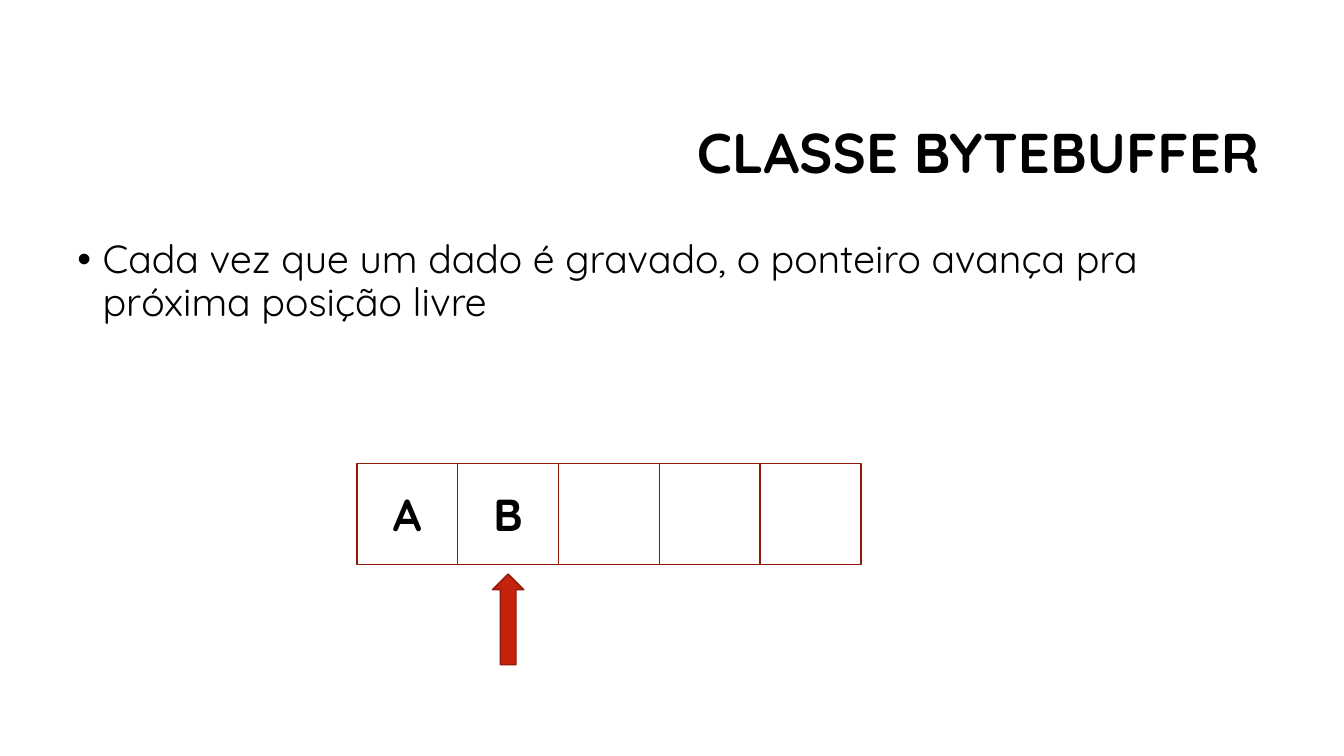
from pptx import Presentation
from pptx.dml.color import RGBColor
from pptx.enum.shapes import MSO_SHAPE as Kind
from pptx.enum.text import MSO_ANCHOR as Anchor, PP_ALIGN as Align
from pptx.oxml.ns import qn
from pptx.util import Pt
from lxml.etree import SubElement

PX = 9144  # EMU per px, 100 px to the inch
FONT = "Quicksand"
BLACK = RGBColor(0x00, 0x00, 0x00)
WHITE = RGBColor(0xFF, 0xFF, 0xFF)
RED = RGBColor(0xC4, 0x22, 0x0D)
DARK = RGBColor(0x91, 0x19, 0x0A)


def scale(*box):
    return [n * PX for n in box]


def style(para, size, bold, align):
    para.alignment = align
    for run in para.runs:
        font = run.font
        font.name, font.size, font.bold = FONT, Pt(size), bold
        font.color.rgb = BLACK


def add_text(slide, box, text, size, bold, align, anchor):
    frame = slide.shapes.add_textbox(*scale(*box)).text_frame
    frame.word_wrap = True
    frame.vertical_anchor = anchor
    frame.text = text
    para = frame.paragraphs[0]
    para.line_spacing = 0.9
    style(para, size, bold, align)
    return para


def add_shape(slide, kind, box, fill):
    shape = slide.shapes.add_shape(kind, *scale(*box))
    shape.shadow.inherit = False
    shape.fill.solid()
    shape.fill.fore_color.rgb = fill
    shape.line.color.rgb = DARK
    shape.line.width = Pt(1)
    return shape


def add_title(slide, box, text):
    add_text(slide, box, text, 40, True, Align.RIGHT, Anchor.MIDDLE)


def add_body(slide, box, text):
    para = add_text(slide, box, text, 28, False, Align.LEFT, Anchor.TOP)
    para.space_before = Pt(10)
    # Hanging bullet
    props = para._p.get_or_add_pPr()
    props.set("marL", str(25 * PX))
    props.set("indent", str(-25 * PX))
    SubElement(props, qn("a:buFont")).set("typeface", "Arial")
    SubElement(props, qn("a:buChar")).set("char", "•")


def add_buffer(slide, box, items, active):
    left, top, width, height = box
    side = width // len(items)

    # Cells
    for i, item in enumerate(items):
        cell = add_shape(slide, Kind.RECTANGLE,
                         (left + i * side, top, side, height), WHITE)
        if item:
            frame = cell.text_frame
            frame.text = item
            frame.vertical_anchor = Anchor.MIDDLE
            style(frame.paragraphs[0], 32, True, Align.CENTER)

    # Pointer below the active cell, turned to point up
    long, thick, drop = 90, 31, 139
    arrow = add_shape(slide, Kind.RIGHT_ARROW,
                      (left + active * side + (side - long) // 2,
                       top + drop, long, thick), RED)
    arrow.rotation = 270


def main():
    deck = Presentation()
    deck.slide_width, deck.slide_height = scale(1333, 750)
    slide = deck.slides.add_slide(deck.slide_layouts[6])
    add_title(slide, (317, 84, 942, 141), "CLASSE BYTEBUFFER")
    add_body(slide, (67, 233, 1191, 173),
             "Cada vez que um dado é gravado, o ponteiro avança pra "
             "próxima posição livre")
    add_buffer(slide, (354, 460, 500, 100), ["A", "B", "", "", ""], 1)
    deck.save("out.pptx")


if __name__ == "__main__":
    main()
